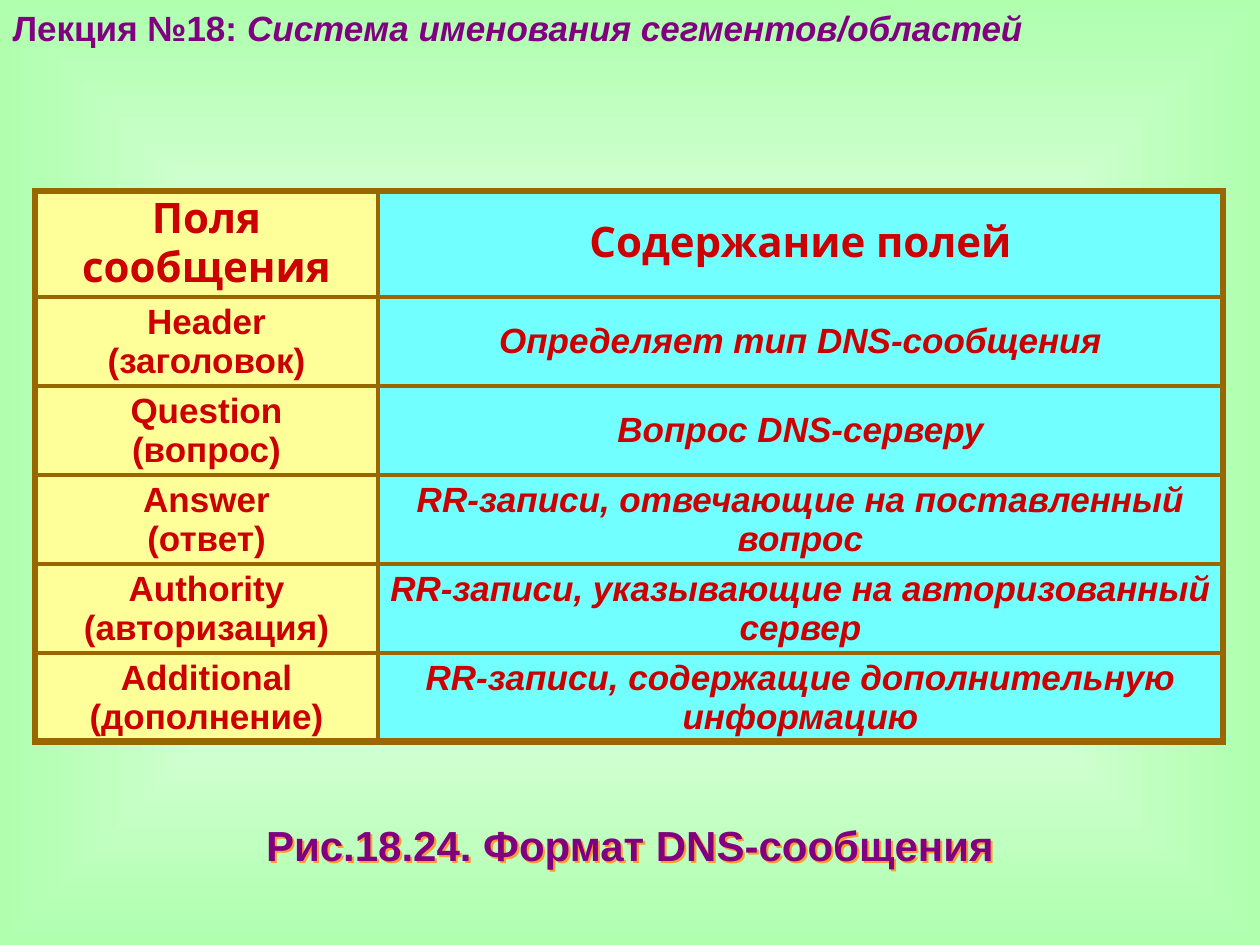
from lxml.etree import SubElement
from pptx import Presentation
from pptx.dml.color import RGBColor
from pptx.enum.text import MSO_ANCHOR as Anchor, MSO_AUTO_SIZE as AutoSize, PP_ALIGN as Align
from pptx.oxml import parse_xml
from pptx.oxml.ns import nsdecls, qn
from pptx.util import Pt

PX = 914400 / 126
COLORS = {
    "center": "FFFFFF", "edge": "AFFFAF", "heading": "800080", "shadow": "FF9933",
    "border": "996600", "text": "CC0000", "field": "FFFF99", "content": "71FFFF",
}
ROWS = [
    ("Поля сообщения", "Содержание полей"),
    ("Header\n(заголовок)", "Определяет тип DNS-сообщения"),
    ("Question\n(вопрос)", "Вопрос DNS-серверу"),
    ("Answer\n(ответ)", "RR-записи, отвечающие на поставленный вопрос"),
    ("Authority (авторизация)", "RR-записи, указывающие на авторизованный сервер"),
    ("Additional (дополнение)", "RR-записи, содержащие дополнительную информацию"),
]


def px(length):
    return round(length * PX)


def rgb(name):
    return RGBColor.from_string(COLORS[name])


class SlideBuilder:
    font = "Arial"
    header_font = "Karla"
    outer, inner = 4.5, 3

    def __init__(self, deck):
        self.page = deck.slides.add_slide(deck.slide_layouts[5])

    def style(self, para, size, color, font=None, italic=None):
        para.font.name = font or self.font
        para.font.size = Pt(size)
        para.font.bold = True
        para.font.italic = italic
        para.font.color.rgb = rgb(color)

    def background(self):
        fill = self.page.background.fill
        fill.gradient()
        for stop, name in zip(fill.gradient_stops, ("center", "edge")):
            stop.color.rgb = rgb(name)
        gradient = next(self.page.element.iter(qn("a:gradFill")))
        gradient.remove(gradient.find(qn("a:lin")))
        shape_path = SubElement(gradient, qn("a:path"), {"path": "shape"})
        SubElement(shape_path, qn("a:fillToRect"), dict.fromkeys("ltrb", "50000"))

    def title(self, left, top, width, height, lead, topic):
        box = self.page.shapes.title
        box.left, box.top, box.width, box.height = map(px, (left, top, width, height))
        frame = box.text_frame
        frame.auto_size = AutoSize.SHAPE_TO_FIT_TEXT
        frame.vertical_anchor = Anchor.TOP
        para = frame.paragraphs[0]
        para.alignment = Align.LEFT
        para.add_run().text = lead
        span = para.add_run()
        span.text = topic
        span.font.italic = True
        self.style(para, 20, "heading")

    def caption(self, left, top, width, height, text):
        box = self.page.shapes.add_textbox(*map(px, (left, top, width, height)))
        frame = box.text_frame
        frame.word_wrap = True
        frame.auto_size = AutoSize.SHAPE_TO_FIT_TEXT
        frame.vertical_anchor = Anchor.MIDDLE
        frame.margin_left = frame.margin_right = frame.margin_top = frame.margin_bottom = 0
        para = frame.paragraphs[0]
        para.text = text
        para.alignment = Align.CENTER
        para.line_spacing = 0.9
        self.style(para, 24, "heading")
        box.element.spPr.append(parse_xml(
            f'<a:effectLst {nsdecls("a")}><a:outerShdw dist="{px(3)}" dir="2700000">'
            f'<a:srgbClr val="{COLORS["shadow"]}"/></a:outerShdw></a:effectLst>'))

    def borders(self, cell, widths):
        """Draw the left, right, top and bottom borders, widths in points."""
        properties = cell._tc.get_or_add_tcPr()
        for index, (side, width) in enumerate(zip("LRTB", widths)):
            properties.insert(index, parse_xml(
                f'<a:ln{side} {nsdecls("a")} w="{Pt(width)}"><a:solidFill>'
                f'<a:srgbClr val="{COLORS["border"]}"/></a:solidFill></a:ln{side}>'))

    def table(self, left, top, widths, heights, rows):
        frame = self.page.shapes.add_table(
            len(rows), len(widths), *map(px, (left, top, sum(widths), sum(heights))))
        table = frame.table
        table.first_row = table.horz_banding = False
        for column, width in zip(table.columns, widths):
            column.width = px(width)
        for row, height in zip(table.rows, heights):
            row.height = px(height)
        for r, texts in enumerate(rows):
            for c, text in enumerate(texts):
                cell = table.cell(r, c)
                cell.text = text
                cell.vertical_anchor = Anchor.MIDDLE
                cell.margin_left = cell.margin_right = px(2)
                cell.margin_top = cell.margin_bottom = px(2)
                cell.fill.solid()
                cell.fill.fore_color.rgb = rgb("content" if c else "field")
                on_edge = (c == 0, c == len(widths) - 1, r == 0, r == len(rows) - 1)
                self.borders(cell, [self.outer if edge else self.inner for edge in on_edge])
                for para in cell.text_frame.paragraphs:
                    para.alignment = Align.CENTER
                    if r == 0:
                        self.style(para, 24, "text", self.header_font)
                    else:
                        self.style(para, 20, "text", italic=c == 1)


def main():
    deck = Presentation()
    deck.slide_width, deck.slide_height = px(1260), px(945)
    slide = SlideBuilder(deck)
    slide.background()
    slide.title(0, 0, 1260, 54, "Лекция №18: ", "Система именования сегментов/областей")
    slide.table(35, 191, [343, 845], [106] + [89] * 5, ROWS)
    slide.caption(0, 825, 1260, 45, "Рис.18.24. Формат DNS-сообщения")
    deck.save("out.pptx")


if __name__ == "__main__":
    main()
